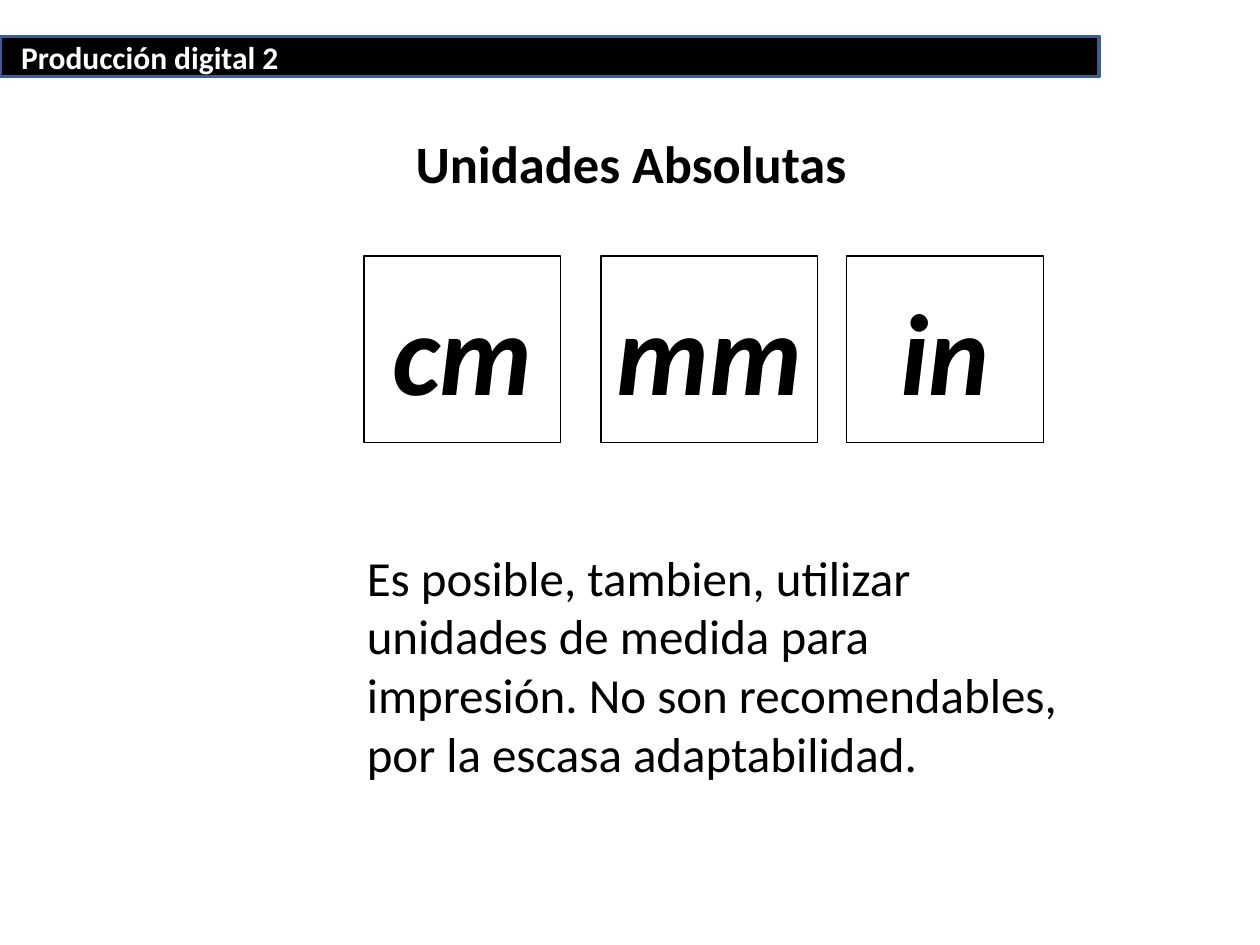
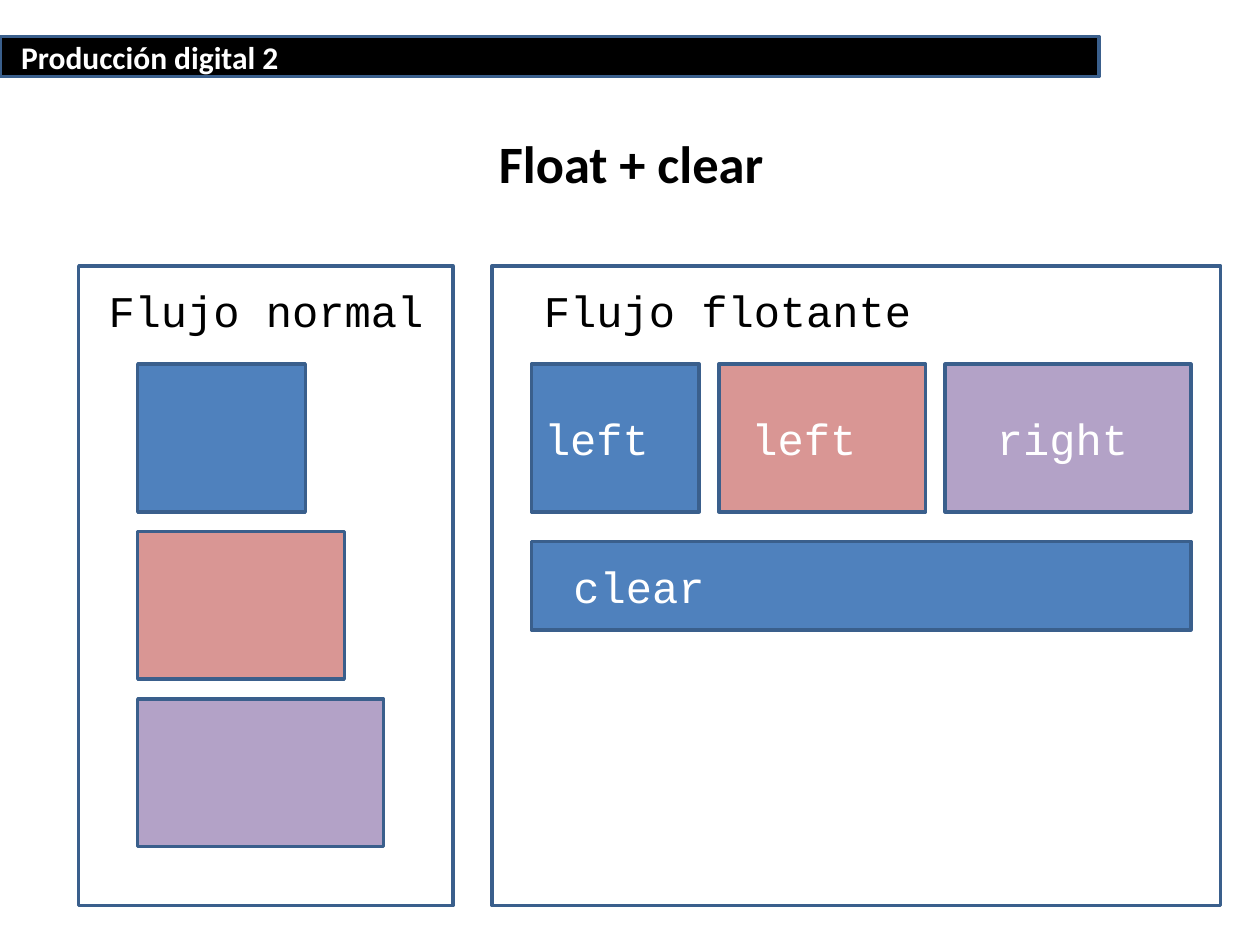
from pptx import Presentation
from pptx.dml.color import RGBColor
from pptx.enum import shapes, text
from pptx.util import Pt

# Shared style
BLACK = RGBColor(0x00, 0x00, 0x00)
WHITE = RGBColor(0xFF, 0xFF, 0xFF)
BLUE = RGBColor(0x4F, 0x81, 0xBD)
PINK = RGBColor(0xD9, 0x96, 0x94)
PURPLE = RGBColor(0xB3, 0xA2, 0xC7)
EDGE = RGBColor(0x3A, 0x5F, 0x8C)
SANS, MONO = "Calibri", "Courier New"
LEFT, CENTER = text.PP_ALIGN.LEFT, text.PP_ALIGN.CENTER
TOP, MIDDLE = text.MSO_ANCHOR.TOP, text.MSO_ANCHOR.MIDDLE

# Content
COURSE = "Producción digital 2"
UNITS_TITLE = "Unidades Absolutas"
UNITS = [("cm", 208, 112.5), ("mm", 343.4, 123.8), ("in", 483.8, 112.5)]  # left, width
UNITS_NOTE = ("Es posible, tambien, utilizar unidades de medida para impresión. "
              "No son recomendables, por la escasa adaptabilidad.")

FLOAT_TITLE = "Float + clear"
NORMAL_FLOW, FLOATING_FLOW, CLEAR = "Flujo normal", "Flujo flotante", "clear"
BLOCKS = [  # colour, width, float value, label offset
    (BLUE, 95.8, "left", 0),
    (PINK, 118.1, "left", 11.5),
    (PURPLE, 140.4, "right", 22.5),
]

deck = Presentation()
deck.slide_width, deck.slide_height = Pt(720), Pt(540)


def write(frame, words, size, font=SANS, color=BLACK, bold=False, italic=False,
          align=LEFT, anchor=MIDDLE):
    frame.word_wrap = True
    frame.vertical_anchor = anchor
    paragraph = frame.paragraphs[0]
    paragraph.alignment = align
    run = paragraph.add_run()
    run.text = words
    run.font.name, run.font.size = font, Pt(size)
    run.font.bold, run.font.italic = bold, italic
    run.font.color.rgb = color


def add_label(slide, words, left, top, width, height, size, **style):
    label = slide.shapes.add_textbox(Pt(left), Pt(top), Pt(width), Pt(height))
    write(label.text_frame, words, size, **style)
    return label


def add_box(slide, left, top, width, height, fill=None, edge=EDGE, weight=2):
    box = slide.shapes.add_shape(shapes.MSO_SHAPE.RECTANGLE,
                                 Pt(left), Pt(top), Pt(width), Pt(height))
    box.shadow.inherit = False
    if fill is None:
        box.fill.background()
    else:
        box.fill.solid()
        box.fill.fore_color.rgb = fill
    box.line.color.rgb = edge
    box.line.width = Pt(weight)
    return box


def add_titled_slide(heading):
    slide = deck.slides.add_slide(deck.slide_layouts[5])
    title = slide.shapes.title
    title.left, title.top, title.width, title.height = Pt(36.7), Pt(67.5), Pt(648), Pt(50.6)
    write(title.text_frame, heading, 30, bold=True, align=CENTER)
    return slide


def add_course_band(slide):
    add_box(slide, 0, 20.8, 628, 23, BLACK)
    course = add_label(slide, COURSE, 5, 18, 345.6, 29, 18, color=WHITE, bold=True, anchor=TOP)
    course.text_frame.auto_size = text.MSO_AUTO_SIZE.SHAPE_TO_FIT_TEXT


# Slide 1: absolute units
units = add_titled_slide(UNITS_TITLE)
add_label(units, UNITS_NOTE, 202.5, 332, 427.5, 95.8, 28)
for unit, left, width in UNITS:
    unit_box = add_box(units, left, 146.2, width, 106.6, edge=BLACK, weight=0.75)
    write(unit_box.text_frame, unit, 66, bold=True, italic=True, align=CENTER)
add_course_band(units)

# Slide 2: normal flow beside floating flow
PANEL_TOP, PANEL_HEIGHT = 151.9, 365.6
NORMAL_LEFT, NORMAL_WIDTH = 45, 213.8
FLOAT_LEFT, FLOAT_WIDTH = 281.2, 416.3
STACK_LEFT, ROW_LEFT = 78.7, 303.8
BLOCK_TOP, BLOCK_HEIGHT = 208.1, 84.4
GAP = 11.2
LABEL_WIDTH, LABEL_HEIGHT = 90, 50.6
CLEAR_TOP, CLEAR_INDENT = 309.4, 16.8

flow = add_titled_slide(FLOAT_TITLE)
add_box(flow, NORMAL_LEFT, PANEL_TOP, NORMAL_WIDTH, PANEL_HEIGHT)
add_label(flow, NORMAL_FLOW, NORMAL_LEFT, PANEL_TOP, NORMAL_WIDTH, LABEL_HEIGHT, 25,
          font=MONO, align=CENTER)
add_box(flow, FLOAT_LEFT, PANEL_TOP, FLOAT_WIDTH, PANEL_HEIGHT)
add_label(flow, FLOATING_FLOW, ROW_LEFT, PANEL_TOP, 365.6, LABEL_HEIGHT, 25, font=MONO)

# The same blocks run down the left panel and across the right one
stack_top, row_left = BLOCK_TOP, ROW_LEFT
for color, width, side, offset in BLOCKS:
    add_box(flow, STACK_LEFT, stack_top, width, BLOCK_HEIGHT, color)
    add_box(flow, row_left, BLOCK_TOP, width, BLOCK_HEIGHT, color)
    add_label(flow, side, row_left + offset, BLOCK_TOP + (BLOCK_HEIGHT - LABEL_HEIGHT) / 2,
              LABEL_WIDTH, LABEL_HEIGHT, 25, font=MONO, color=WHITE)
    stack_top += BLOCK_HEIGHT + GAP
    row_left += width + GAP

# The cleared block spans the whole floating row
clear_width = row_left - GAP - ROW_LEFT
add_box(flow, ROW_LEFT, CLEAR_TOP, clear_width, LABEL_HEIGHT, BLUE)
add_label(flow, CLEAR, ROW_LEFT + CLEAR_INDENT, CLEAR_TOP, clear_width - CLEAR_INDENT,
          LABEL_HEIGHT, 25, font=MONO, color=WHITE)
add_course_band(flow)

deck.save("out.pptx")
